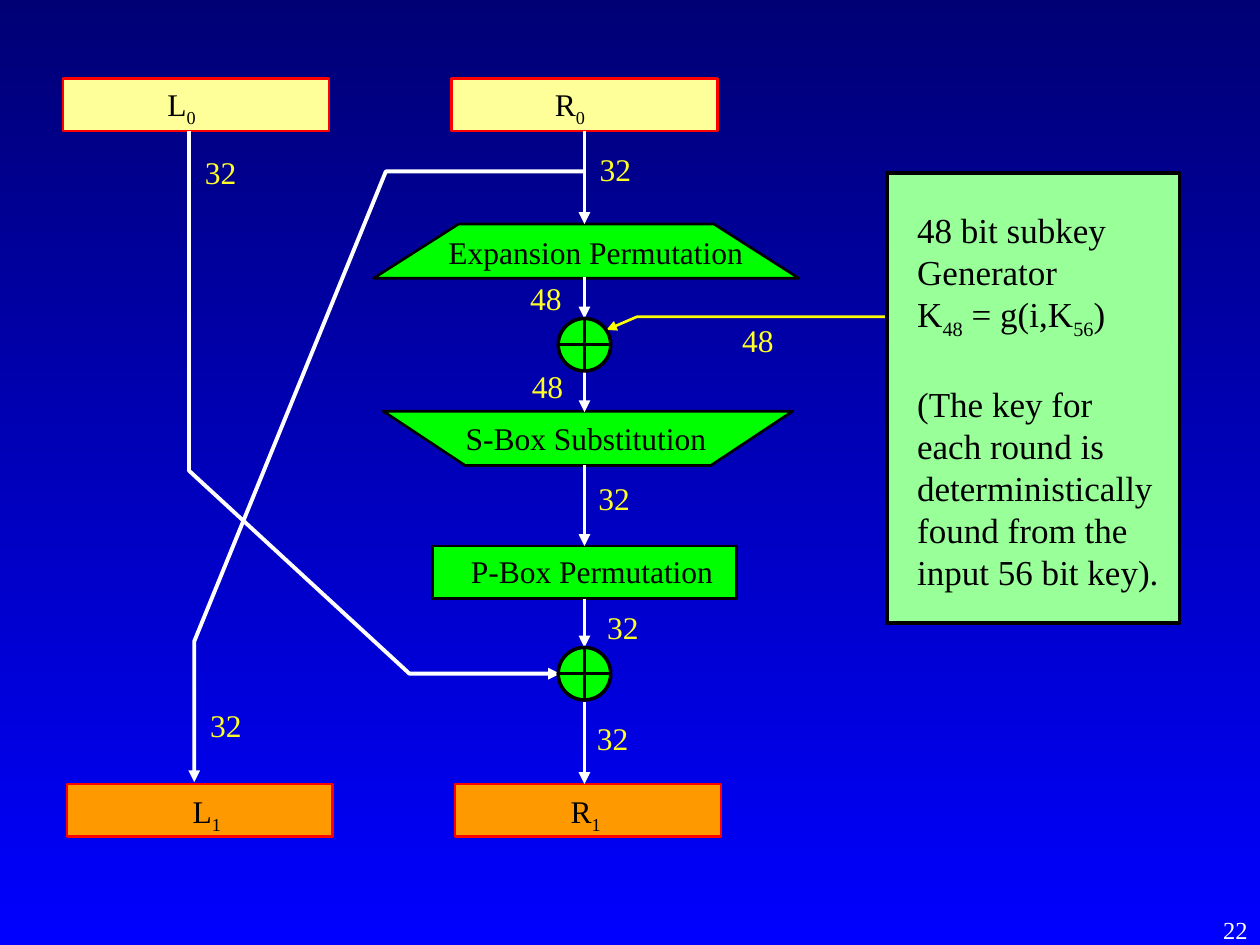
from pptx import Presentation
from pptx import util as u
from pptx.dml.color import RGBColor
from pptx.enum import shapes, text
from pptx.oxml.ns import qn
from lxml import etree

HUES = {
    "navy": "000075", "blue": "0000FF", "cream": "FFFF99", "red": "FF0000",
    "orange": "FF9900", "green": "00FF00", "mint": "99FF99", "black": "000000",
    "white": "FFFFFF", "yellow": "FFFF00", "lemon": "FFFF27",
}
KIND = shapes.MSO_SHAPE


def hue(name):
    return RGBColor.from_string(HUES[name])


class Board:
    face = "Times New Roman"

    def __init__(self, slide):
        self.slide = slide
        self.items = slide.shapes

    def ground(self, top, end):
        fill = self.slide.background.fill
        fill.gradient()
        fill.gradient_angle = 270
        for stop, name in zip(fill.gradient_stops, (top, end)):
            stop.color.rgb = hue(name)

    def stroke(self, line, color, width):
        line.color.rgb = hue(color)
        line.width = u.Pt(width)

    def arrow(self, item):
        line = item.line._get_or_add_ln()
        etree.SubElement(line, qn("a:tailEnd"), type="triangle")

    def shape(self, kind, x, y, w, h, fill, edge="black", width=1.5):
        item = self.items.add_shape(kind, u.Pt(x), u.Pt(y), u.Pt(w), u.Pt(h))
        item.shadow.inherit = False
        item.fill.solid()
        item.fill.fore_color.rgb = hue(fill)
        self.stroke(item.line, edge, width)
        return item

    def line(self, x, y, x2, y2, start=None, end=None):
        item = self.items.add_connector(
            shapes.MSO_CONNECTOR.STRAIGHT, u.Pt(x), u.Pt(y), u.Pt(x2), u.Pt(y2))
        if start is not None:
            item.begin_connect(start, 2)
        if end is not None:
            item.end_connect(end, 0)
        self.stroke(item.line, "white", 2.25)
        self.arrow(item)
        etree.SubElement(item._element.spPr, qn("a:effectLst"))

    def route(self, points, color="white", width=2.25):
        first, *rest = [(u.Pt(x), u.Pt(y)) for x, y in points]
        pen = self.items.build_freeform(*first)
        pen.add_line_segments(rest, close=False)
        item = pen.convert_to_shape()
        item.shadow.inherit = False
        item.fill.background()
        self.stroke(item.line, color, width)
        self.arrow(item)

    def label(self, words, x, y, w, h=28.8, color="black", size=18, wrap=False):
        box = self.items.add_textbox(u.Pt(x), u.Pt(y), u.Pt(w), u.Pt(h))
        frame = box.text_frame
        frame.word_wrap = wrap
        frame.text = words.replace("|", "")
        for para, row in zip(frame.paragraphs, words.split("\n")):
            parts = row.split("|")
            para.runs[0].text = parts[0]
            for part in parts[1:]:
                para.add_run().text = part
            for spot, run in enumerate(para.runs):
                run.font.name = self.face
                run.font.size = u.Pt(size)
                run.font.color.rgb = hue(color)
                if spot % 2:
                    run.font._element.set("baseline", "-25000")
        return frame


def main():
    deck = Presentation()
    deck.slide_width, deck.slide_height = u.Pt(720), u.Pt(540)
    board = Board(deck.slides.add_slide(deck.slide_layouts[6]))
    board.ground("navy", "blue")

    ends = [
        board.shape(KIND.RECTANGLE, x, y, 152, 30, fill, "red")
        for x, y, fill in (
            (36, 45, "cream"), (258, 45, "cream"),
            (38.2, 448, "orange"), (260, 448, "orange"))
    ]
    board.shape(KIND.FLOWCHART_MANUAL_OPERATION, 219, 235, 234, 31, "green")
    grow = board.shape(KIND.FLOWCHART_MANUAL_OPERATION, 213.5, 128, 243, 31, "green")
    grow.rotation = 180
    pbox = board.shape(KIND.RECTANGLE, 247, 312, 174, 30, "green")

    board.route([(519, 181), (364, 181), (346.5, 188.5)], "yellow", 1.5)
    board.shape(KIND.RECTANGLE, 507, 99, 167, 257, "mint", width=2)
    board.route([(108, 75), (108, 269), (234, 385), (320, 385)])
    board.route([(334, 98), (220.5, 98), (111, 366.5), (111, 447)])

    mid = 334
    board.line(mid, 75, mid, 128, start=ends[1])
    board.line(mid, 158.5, mid, 182)
    board.line(mid, 212.5, mid, 235.5)
    board.line(mid, 266, mid, 312, end=pbox)
    board.line(mid, 342, mid, 370, start=pbox)
    board.line(mid, 401, mid, 448)
    for y in (182, 370):
        board.shape(KIND.FLOWCHART_OR, mid - 15, y, 30, 30, "green", width=2)

    for words, x, y in (
        ("L|0", 88.5, 45), ("R|0", 310, 45),
        ("L|1", 103, 449), ("R|1", 319, 449),
    ):
        board.label(words, x, y, 32, 31.5)
    for words, x, y, w in (
        ("Expansion Permutation", 249.2, 129.8, 188),
        ("S-Box Substitution", 259, 235.8, 157),
        ("P-Box Permutation", 262, 312, 158),
    ):
        board.label(words, x, y, w)
    for bits, x, y in (
        ("32", 335.5, 82), ("48", 295.9, 156), ("48", 417, 180),
        ("48", 296.8, 206), ("32", 334.8, 270), ("32", 339.8, 344),
        ("32", 334, 407.3), ("32", 113, 400), ("32", 110, 84),
    ):
        board.label(bits, x, y, 32.4, color="lemon")

    note = board.label(
        "48 bit subkey\nGenerator\nK|48| = g(i,K|56|)\n(The key for\n"
        "each round is\ndeterministically\nfound from the\ninput 56 bit key).",
        517, 115.5, 157, 227, size=20)
    note.paragraphs[3].space_before = u.Pt(24)
    page = board.label("22", 570, 519.3, 150, 20.7, "white", 14, True)
    page.paragraphs[0].alignment = text.PP_ALIGN.RIGHT

    deck.save("out.pptx")


if __name__ == "__main__":
    main()
